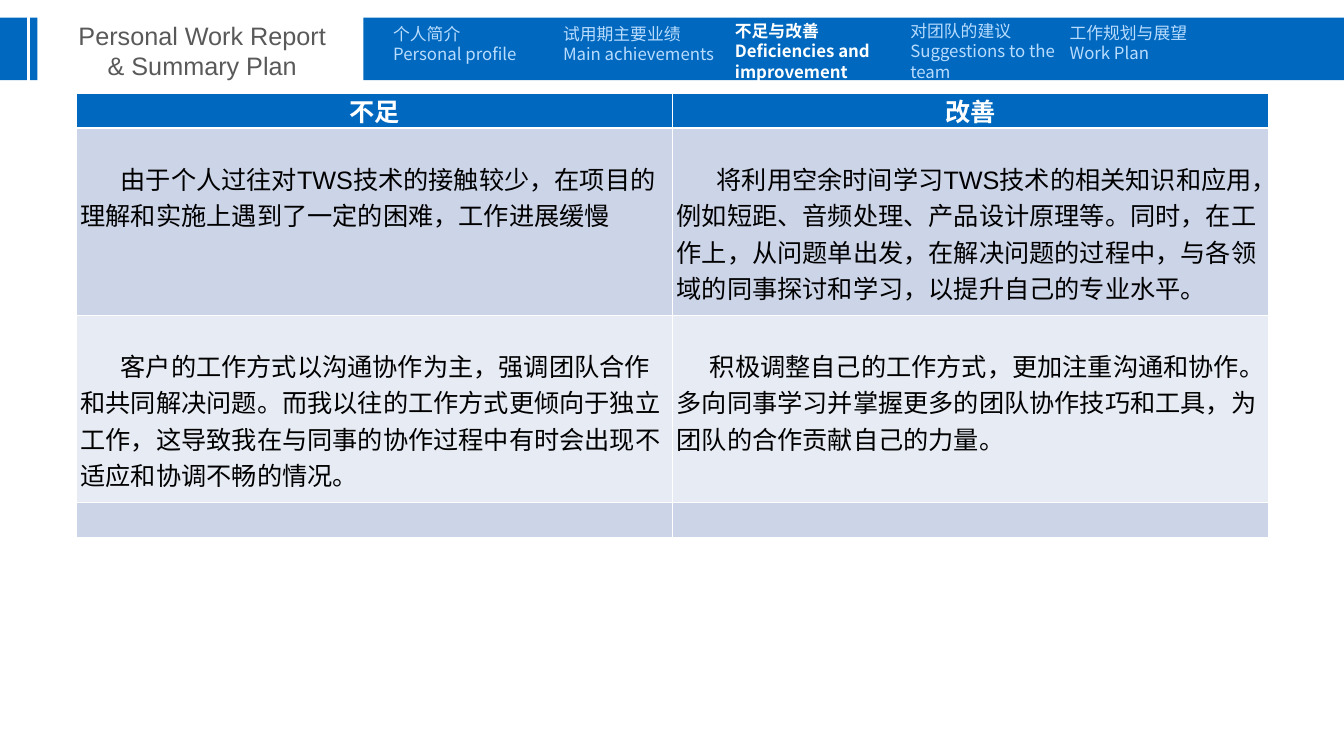
from lxml.etree import SubElement
from pptx import Presentation
from pptx.dml.color import RGBColor
from pptx.enum.shapes import MSO_SHAPE
from pptx.enum.text import PP_ALIGN
from pptx.oxml import parse_xml
from pptx.oxml.ns import nsdecls, qn
from pptx.util import Cm, Pt

THEME = {
    "blue": "0069BF", "pale": "B9DCFE", "white": "FFFFFF",
    "gray": "595959", "black": "000000", "bands": ["CCD4E8", "E7EBF4"],
    "big": 36, "small": 24, "lead": 29,
    "latin": "Arial", "asian": "Noto Sans CJK SC",
}
BARS = [(18.31, 49.41), (0, 1.35), (1.52, 0.36)]
TITLE = ["Personal Work Report", "& Summary Plan"]
TABS = [
    (19.56, 1.07, 7.4, ["个人简介", "Personal profile"]),
    (28.12, 1.07, 8.43, ["试用期主要业绩", "Main achievements"]),
    (36.78, 0.91, 9.07, ["不足与改善", "Deficiencies and improvement"]),
    (45.62, 0.91, 8.59, ["对团队的建议", "Suggestions to the team"]),
    (53.64, 0.99, 7, ["工作规划与展望", "Work Plan"]),
]
LIVE = 2
HEAD = ["不足", "改善"]
BODY = [
    [("由于个人过往对TWS技术的接触较少，在项目的理解和实施上遇到了一定的困难，工作进展缓慢", 2.02),
     ("将利用空余时间学习TWS技术的相关知识和应用，例如短距、音频处理、产品设计原理等。同时，在工作上，从问题单出发，在解决问题的过程中，与各领域的同事探讨和学习，以提升自己的专业水平。", 2.02)],
    [("客户的工作方式以沟通协作为主，强调团队合作和共同解决问题。而我以往的工作方式更倾向于独立工作，这导致我在与同事的协作过程中有时会出现不适应和协调不畅的情况。", 2.02),
     ("积极调整自己的工作方式，更加注重沟通和协作。多向同事学习并掌握更多的团队协作技巧和工具，为团队的合作贡献自己的力量。", 1.67)],
    [("", 0), ("", 0)],
]
ROWS = [1.75, 9.42, 9.42, 1.75]


def style(para, size, color, bold=False, latin=THEME["latin"]):
    for run in para.runs:
        font = run.font
        font.size, font.bold, font.name = Pt(size), bold, latin
        font.color.rgb = RGBColor.from_string(color)
        SubElement(font._element, qn("a:ea"), typeface=THEME["asian"])


def add_text(slide, left, top, width, height, lines):
    box = slide.shapes.add_textbox(Cm(left), Cm(top), Cm(width), Cm(height))
    frame = box.text_frame
    frame.word_wrap = True
    frame.text = "\n".join(lines)
    return frame.paragraphs


def paint(cell, color, base):
    props = cell._tc.get_or_add_tcPr()
    for spot, side in enumerate("LRTB"):
        width = Pt(base if side == "B" else 1)
        props.insert(spot, parse_xml(
            f'<a:ln{side} {nsdecls("a")} w="{width}"><a:solidFill>'
            f'<a:srgbClr val="{THEME["white"]}"/></a:solidFill></a:ln{side}>'))
    cell.fill.solid()
    cell.fill.fore_color.rgb = RGBColor.from_string(color)
    cell.margin_left, cell.margin_right = Cm(0.22), Cm(0.4)


def add_header(slide):
    for left, width in BARS:
        bar = slide.shapes.add_shape(
            MSO_SHAPE.RECTANGLE, Cm(left), Cm(0.89), Cm(width), Cm(3.15))
        bar.shadow.inherit = False
        bar.fill.solid()
        bar.fill.fore_color.rgb = RGBColor.from_string(THEME["blue"])
        bar.line.fill.background()
    for para in add_text(slide, 2.06, 0.89, 16.26, 3.33, TITLE):
        para.alignment = PP_ALIGN.CENTER
        style(para, THEME["big"], THEME["gray"])
    for spot, (left, top, width, lines) in enumerate(TABS):
        live = spot == LIVE
        for para in add_text(slide, left, top, width, 2.31, lines):
            para.line_spacing = Pt(THEME["lead"])
            style(para, THEME["small"], THEME["white" if live else "pale"],
                  live, THEME["asian"])


def add_grid(slide):
    grid = slide.shapes.add_table(
        len(ROWS), len(HEAD), Cm(3.84), Cm(4.72), Cm(60.07), Cm(sum(ROWS))).table
    for row, height in zip(grid.rows, ROWS):
        row.height = Cm(height)
    for col, text in enumerate(HEAD):
        cell = grid.cell(0, col)
        paint(cell, THEME["blue"], 3)
        cell.margin_right = cell.margin_left
        cell.margin_top, cell.margin_bottom = Cm(0.08), 0
        cell.text_frame.text = text
        para = cell.text_frame.paragraphs[0]
        para.alignment = PP_ALIGN.CENTER
        para.line_spacing = 0.9
        style(para, THEME["big"], THEME["white"], True)
    for row, items in enumerate(BODY):
        for col, (text, indent) in enumerate(items):
            cell = grid.cell(row + 1, col)
            paint(cell, THEME["bands"][row % 2], 1)
            if text:
                cell.margin_top = Cm(1.6)
                cell.text_frame.text = text
                para = cell.text_frame.paragraphs[0]
                para._p.get_or_add_pPr().set("indent", str(Cm(indent)))
                style(para, THEME["big"], THEME["black"])


def main():
    deck = Presentation()
    deck.slide_width, deck.slide_height = Cm(67.72), Cm(38.1)
    slide = deck.slides.add_slide(deck.slide_layouts[6])
    add_header(slide)
    add_grid(slide)
    deck.save("out.pptx")


if __name__ == "__main__":
    main()
